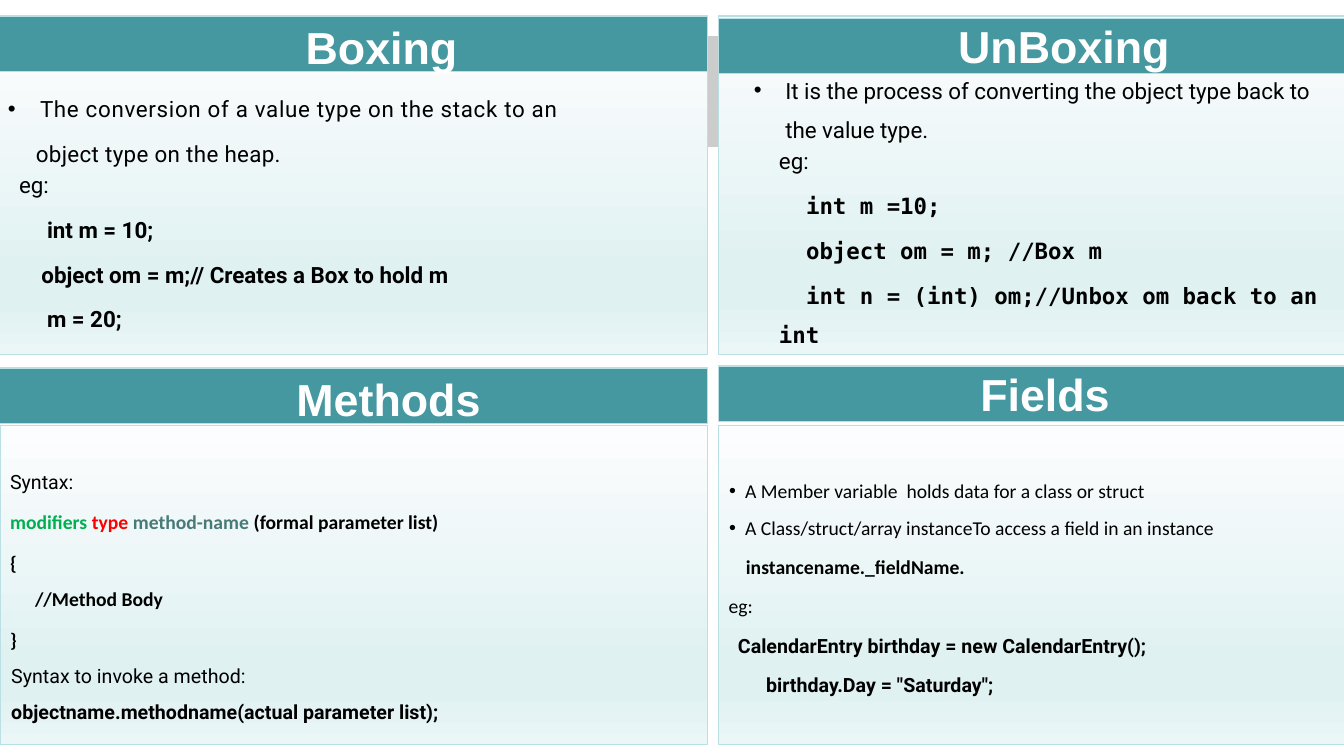
from lxml import etree
from pptx import Presentation
from pptx.dml.color import RGBColor
from pptx.enum.shapes import MSO_SHAPE
from pptx.enum.text import MSO_ANCHOR, MSO_AUTO_SIZE, PP_ALIGN
from pptx.oxml.ns import qn
from pptx.util import Pt

RECT = MSO_SHAPE.RECTANGLE
TOP, MIDDLE = MSO_ANCHOR.TOP, MSO_ANCHOR.MIDDLE
LEFT, CENTER = PP_ALIGN.LEFT, PP_ALIGN.CENTER
NO_FIT = MSO_AUTO_SIZE.NONE
TITLE_ONLY = 5

TEAL, EDGE, WHITE, BLACK = "4597A0", "BBE0E3", "FFFFFF", "000000"
GREEN, RED, SLATE = "00AF50", "FF0000", "477A78"
PANEL_STOPS = [(0, "FCFDFE"), (74, "E0F1F2"), (83, "E0F1F2"), (100, "EBF6F7")]
BAND_STOPS = [(0, WHITE), (100, "A0A0A0")]
MONO = "DejaVu Sans Mono"

LEFT_X, LEFT_W = -1.4, 506.9
RIGHT_X, RIGHT_W = 513.4, 447.1
BAR_H = 39.6


def rgb(value):
    return RGBColor.from_string(value)


class Deck:
    """Holds the presentation, its current slide and the shared style."""

    def __init__(self):
        self.prs = Presentation()
        self.prs.slide_width, self.prs.slide_height = Pt(960), Pt(540)
        self.slide = self.prs.slides.add_slide(self.prs.slide_layouts[TITLE_ONLY])
        self.shapes = self.slide.shapes

    def rect(self, x, y, w, h):
        sp = self.shapes.add_shape(RECT, Pt(x), Pt(y), Pt(w), Pt(h))
        sp.shadow.inherit = False
        sp.line.fill.background()
        return sp

    def edge(self, sp):
        sp.line.color.rgb = rgb(EDGE)
        sp.line.width = Pt(1)

    def gradient(self, sp, stops, angle):
        sp.fill.gradient()
        sp.fill.gradient_angle = angle
        gs_list = sp._element.spPr.find(qn("a:gradFill")).find(qn("a:gsLst"))
        for gs in list(gs_list):
            gs_list.remove(gs)
        for pos, color in stops:
            gs = etree.SubElement(gs_list, qn("a:gs"), pos=str(pos * 1000))
            etree.SubElement(gs, qn("a:srgbClr"), val=color)

    def frame(self, sp, anchor, left=0, top=0, right=0):
        tf = sp.text_frame
        values = dict(word_wrap=True, auto_size=NO_FIT, vertical_anchor=anchor,
                      margin_left=Pt(left), margin_top=Pt(top),
                      margin_right=Pt(right), margin_bottom=0)
        for name, value in values.items():
            setattr(tf, name, value)
        return tf

    def run(self, p, text, size, font, color=BLACK, bold=False, spacing=0):
        r = p.add_run()
        r.text = text
        for name, value in dict(size=Pt(size), name=font, bold=bold).items():
            setattr(r.font, name, value)
        r.font.color.rgb = rgb(color)
        if spacing:
            r._r.get_or_add_rPr().set("spc", str(round(spacing * 100)))

    def heading(self, text, x, y, w, shift, drop=0, title=False):
        """Teal bar whose text is centred, moved right by shift and down by drop."""
        if title:
            sp = self.shapes.title
            sp.left, sp.top, sp.width, sp.height = Pt(x), Pt(y), Pt(w), Pt(BAR_H)
            self.shapes._spTree.append(sp._element)
        else:
            sp = self.rect(x, y, w, BAR_H)
        sp.fill.solid()
        sp.fill.fore_color.rgb = rgb(TEAL)
        self.edge(sp)
        p = self.frame(sp, MIDDLE, left=shift, top=drop).paragraphs[0]
        p.alignment = CENTER
        self.run(p, text, 32, "Arial", WHITE, True)

    def panel(self, x, y, w, h, top, size, pitch, lines):
        """Gradient panel; a line is its runs, its indent and its own settings."""
        sp = self.rect(x, y, w, h)
        self.gradient(sp, PANEL_STOPS, 270)
        self.edge(sp)
        tf = self.frame(sp, TOP, top=top, right=7)
        for i, (runs, indent, extra) in enumerate(lines):
            p = tf.add_paragraph() if i else tf.paragraphs[0]
            p.alignment = LEFT
            p.line_spacing = Pt(extra.get("pitch", pitch))
            p.space_before = Pt(extra.get("before", 0))
            pPr = p._p.get_or_add_pPr()
            pPr.set("marL", str(Pt(indent)))
            pPr.set("indent", str(Pt(extra.get("first", 0))))
            if "first" in extra and extra["first"] < 0:
                etree.SubElement(pPr, qn("a:buFont"), typeface="Arial")
                etree.SubElement(pPr, qn("a:buChar"), char="•")
            for text, font, fmt in runs:
                self.run(p, text, size, font, **fmt)


def line(text, font, indent, bold=False, spacing=0, **extra):
    return [(text, font, dict(bold=bold, spacing=spacing))], indent, extra


def main():
    deck = Deck()
    band = deck.rect(0, 25.9, 960, 79.2)
    deck.gradient(band, BAND_STOPS, 0)

    deck.panel(LEFT_X, 30.2, LEFT_W, 223.2, 28.8, 16, 28.5, [
        line("The conversion of a value type on the stack to an", "Roboto", 30,
             spacing=0.5, first=-23),
        line("object type on the heap.", "Roboto", 27, spacing=0.25, before=3.5),
        line("eg:", "Roboto", 15, pitch=22),
        line("int m = 10;", "Roboto", 35, True, before=3.5),
        line("object om = m;// Creates a Box to hold m", "Roboto", 31, True, before=3.5),
        line("m = 20;", "Roboto", 35, True, before=3.5),
    ])
    deck.panel(RIGHT_X, 11.5, RIGHT_W, 241.9, 34, 16, 28.5, [
        line("It is the process of converting the object type back to the value type.",
             "Roboto", 47.5, first=-22.5),
        line("eg:", "Roboto", 43, pitch=22),
        line("int m =10;", MONO, 62.4, True, before=3.5),
        line("object om = m; //Box m", MONO, 62.4, True, before=3.5),
        line("int n = (int) om;//Unbox om back to an int", MONO, 43, True,
             before=3.5, first=19.4),
    ])
    signature = [("modifiers ", GREEN), ("type ", RED), ("method-name ", SLATE),
                 ("(formal parameter list)", BLACK)]
    deck.panel(0, 303.8, 505.4, 228.2, 23.2, 14, 25.7, [
        line("Syntax:", "Roboto", 7.2),
        ([(text, "Calibri", dict(color=color, bold=True)) for text, color in signature],
         7.2, dict(before=3)),
        line("{", "Calibri", 7.2, True, before=3.5),
        line("//Method Body", "Calibri", 25, True),
        line("}", "Calibri", 7.2, True, before=3.5),
        line("Syntax to invoke a method:", "Roboto", 8),
        line("objectname.methodname(actual parameter list);", "Roboto", 8, True),
    ])
    deck.panel(RIGHT_X, 303.8, RIGHT_W, 228.2, 29, 14, 26, [
        line("A Member variable  holds data for a class or struct", "Calibri", 18.8,
             first=-11.4),
        line("A Class/struct/array instanceTo access a field in an instance", "Calibri",
             18.8, first=-11.4, before=0.5),
        line("instancename._fieldName.", "Calibri", 19.4, True, before=2),
        line("eg:", "Calibri", 7, before=2),
        line("CalendarEntry birthday = new CalendarEntry();", "Roboto", 13.7, True,
             before=2),
        line('birthday.Day = "Saturday";', "Roboto", 33.8, True, before=2),
    ])

    deck.heading("Boxing", LEFT_X, 11.5, LEFT_W, 41, 3.8, title=True)
    deck.heading("Fields", RIGHT_X, 261.4, 449.3, 17)
    deck.heading("Methods", LEFT_X, 262.8, LEFT_W, 51, 3.8)
    deck.heading("UnBoxing", RIGHT_X, 13, 449.3, 44)
    deck.prs.save("out.pptx")


if __name__ == "__main__":
    main()
